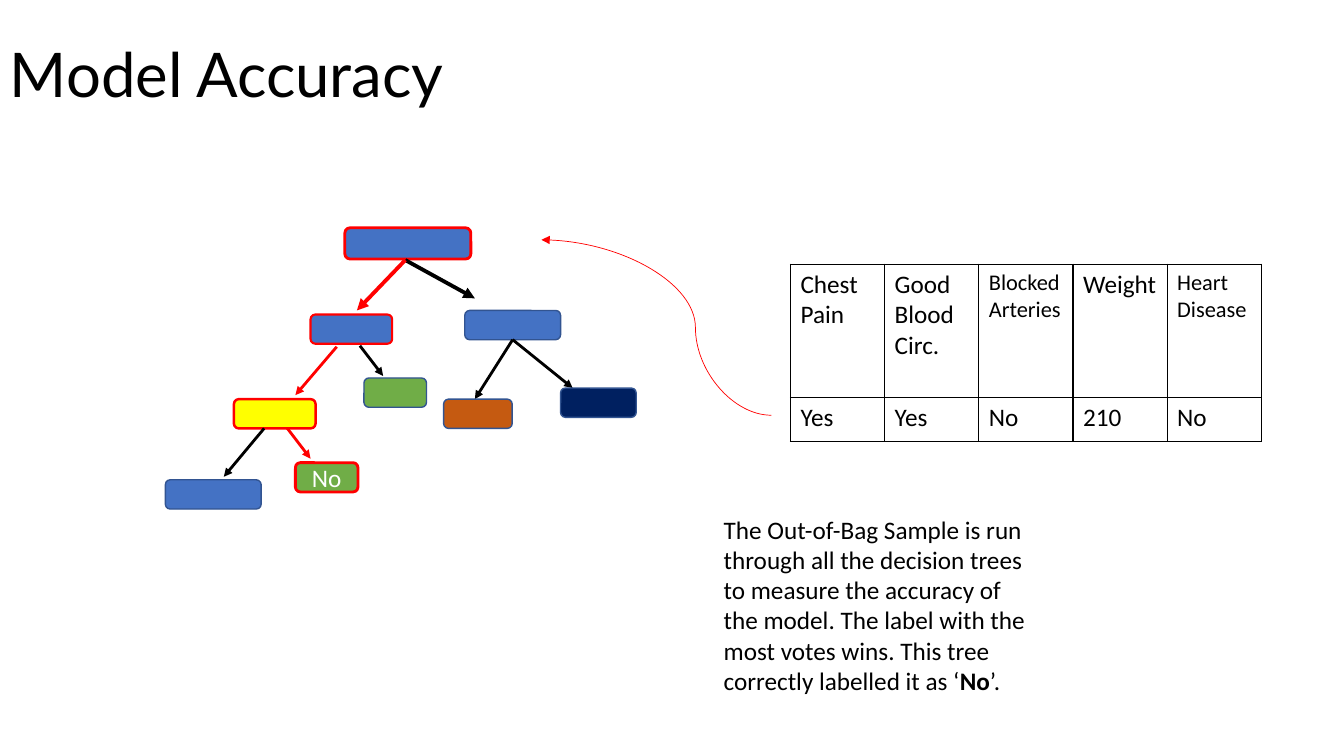
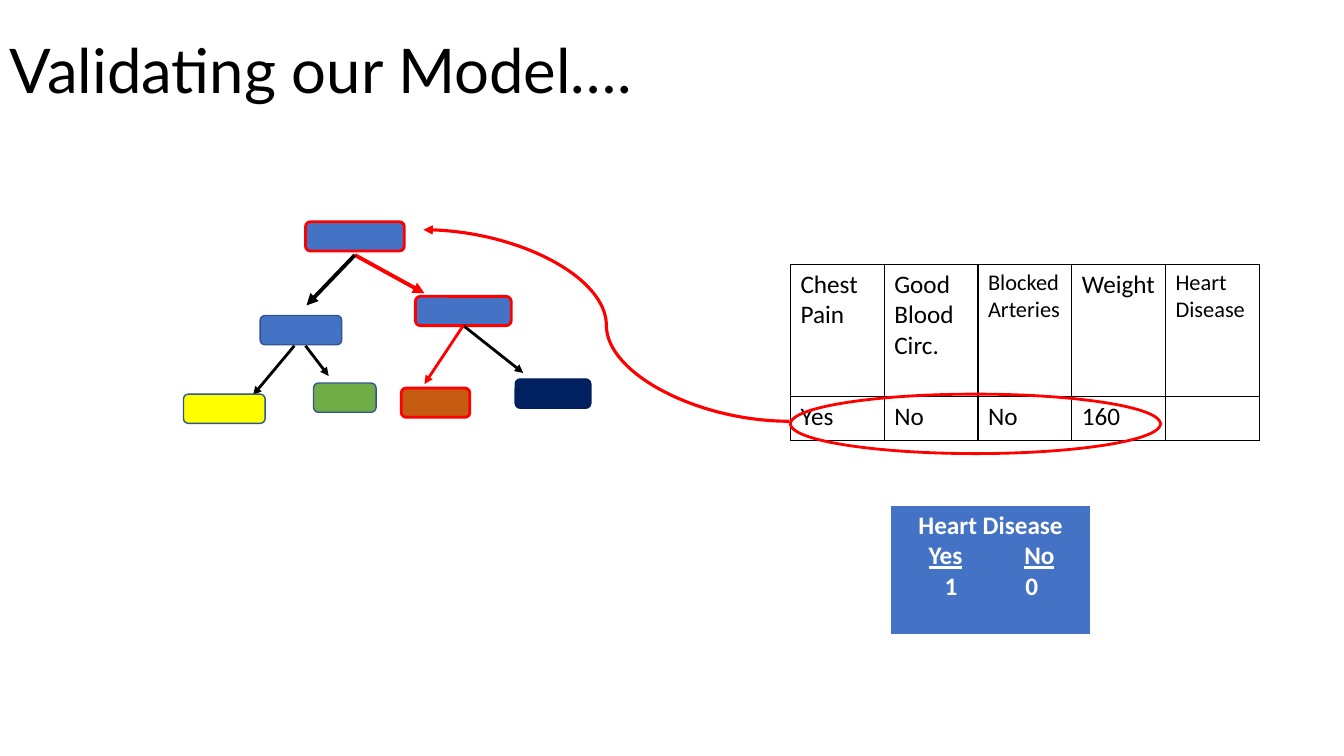
"""Build two slides on testing decision trees for heart disease."""
from dataclasses import dataclass

from lxml import etree
from pptx import Presentation
from pptx.dml.color import RGBColor
from pptx.enum.shapes import MSO_CONNECTOR, MSO_SHAPE
from pptx.enum.text import MSO_ANCHOR, PP_ALIGN
from pptx.oxml.ns import qn
from pptx.util import Inches, Pt

ROUNDED = MSO_SHAPE.ROUNDED_RECTANGLE
ELLIPSE = MSO_SHAPE.OVAL
STRAIGHT = MSO_CONNECTOR.STRAIGHT
CURVE = MSO_CONNECTOR.CURVE
MIDDLE = MSO_ANCHOR.MIDDLE
CENTER = PP_ALIGN.CENTER
BOTTOM_SIDE = 2


@dataclass(frozen=True)
class Theme:
    """Colours, fonts and type sizes."""
    black: str = "000000"
    white: str = "FFFFFF"
    red: str = "FF0000"
    blue: str = "4472C4"
    outline: str = "325491"
    orange: str = "C55A11"
    green: str = "70AD47"
    navy: str = "002060"
    yellow: str = "FFFF00"
    title_font: str = "Lato"
    body_font: str = "Calibri"
    title_size: int = 44
    body_size: int = 18
    small_size: int = 16


THEME = Theme()
NODE_KINDS = {
    "large root": (1.25, 0.31, THEME.blue),
    "root": (0.98, 0.29, THEME.blue),
    "branch": (0.81, 0.29, THEME.blue),
    "wide": (0.95, 0.29, THEME.blue),
    "orange": (0.68, 0.29, THEME.orange),
    "green": (0.62, 0.29, THEME.green),
    "navy": (0.75, 0.29, THEME.navy),
    "yellow": (0.81, 0.29, THEME.yellow),
}
HEADERS = ["Chest Pain", "Good\nBlood\nCirc.", "Blocked\nArteries", "Weight", "Heart\nDisease"]
SMALL_COLUMNS = (2, 4)


class Deck:
    """Hold the theme and current slide, and draw each kind of element."""

    def __init__(self, theme):
        """Start a wide presentation."""
        self.theme = theme
        self.presentation = Presentation()
        self.presentation.slide_width = Inches(13.33)
        self.presentation.slide_height = Inches(7.5)
        self.slide = None

    def new_slide(self, title, top):
        """Add a blank slide with its title."""
        self.slide = self.presentation.slides.add_slide(self.presentation.slide_layouts[6])
        frame = self.text_frame(0, top, 11.5, 1.45)
        frame.vertical_anchor = MIDDLE
        paragraph = frame.paragraphs[0]
        paragraph.text = title
        paragraph.line_spacing = 0.9
        self.font(paragraph, self.theme.title_size, name=self.theme.title_font)

    def font(self, paragraph, size, color=None, name=None):
        """Set the font of a paragraph."""
        paragraph.font.size = Pt(size)
        paragraph.font.name = name or self.theme.body_font
        paragraph.font.color.rgb = RGBColor.from_string(color or self.theme.black)

    def text_frame(self, left, top, width, height):
        """Add a wrapping text box and return its frame."""
        box = self.slide.shapes.add_textbox(
            Inches(left), Inches(top), Inches(width), Inches(height))
        box.text_frame.word_wrap = True
        return box.text_frame

    def note(self, left, top, width, height, parts):
        """Add a paragraph from pairs of text and boldness."""
        paragraph = self.text_frame(left, top, width, height).paragraphs[0]
        self.font(paragraph, self.theme.body_size)
        for text, bold in parts:
            run = paragraph.add_run()
            run.text = text
            run.font.bold = bold

    def shape(self, preset, left, top, width, height, line, line_width, fill=None):
        """Add an outlined shape, filled or hollow."""
        shape = self.slide.shapes.add_shape(
            preset, Inches(left), Inches(top), Inches(width), Inches(height))
        shape.shadow.inherit = False
        if fill:
            shape.fill.solid()
            shape.fill.fore_color.rgb = RGBColor.from_string(fill)
        else:
            shape.fill.background()
        shape.line.color.rgb = RGBColor.from_string(line)
        shape.line.width = Pt(line_width)
        return shape

    def node(self, kind, left, top, visited=0, label=None):
        """Add a tree node, outlined in red at the visited width if any."""
        width, height, fill = NODE_KINDS[kind]
        line = self.theme.red if visited else self.theme.outline
        shape = self.shape(ROUNDED, left, top, width, height, line, visited or 1, fill)
        if label:
            shape.text_frame.vertical_anchor = MIDDLE
            paragraph = shape.text_frame.paragraphs[0]
            paragraph.text = label
            paragraph.alignment = CENTER
            self.font(paragraph, self.theme.body_size, self.theme.white)
        return shape

    def arrow(self, start, end, color, width=2, kind=STRAIGHT, bend=None):
        """Add an arrow between points, optionally curved with a bend fraction."""
        connector = self.slide.shapes.add_connector(
            kind, *(Inches(length) for length in (*start, *end)))
        connector.line.color.rgb = RGBColor.from_string(color)
        connector.line.width = Pt(width)
        properties = connector._element.spPr
        etree.SubElement(properties.find(qn("a:ln")), qn("a:tailEnd"), type="triangle")
        etree.SubElement(properties, qn("a:effectLst"))
        if bend:
            guides = properties.find(qn("a:prstGeom")).find(qn("a:avLst"))
            etree.SubElement(guides, qn("a:gd"), name="adj1", fmla=f"val {round(bend * 100000)}")
        return connector

    def branches(self, start, ends, width=2, parent=None):
        """Add arrows from one point, or from the bottom of a parent node."""
        for end, visited in ends:
            color = self.theme.red if visited else self.theme.black
            connector = self.arrow(start, end, color, width)
            if parent:
                connector.begin_connect(parent, BOTTOM_SIDE)

    def table(self, left, top, column_widths, row_heights):
        """Add a table without banding."""
        frame = self.slide.shapes.add_table(
            len(row_heights), len(column_widths), Inches(left), Inches(top),
            Inches(sum(column_widths)), Inches(sum(row_heights)))
        table = frame.table
        table.first_row = table.horz_banding = False
        for column, width in zip(table.columns, column_widths):
            column.width = Inches(width)
        for row, height in zip(table.rows, row_heights):
            row.height = Inches(height)
        return table

    def borders(self, cell, color, width=1, bottom=1):
        """Draw the four borders of a cell."""
        properties = cell._tc.get_or_add_tcPr()
        for side, points in (("L", width), ("R", width), ("T", width), ("B", bottom)):
            line = etree.SubElement(properties, qn(f"a:ln{side}"), w=str(Pt(points)))
            fill = etree.SubElement(line, qn("a:solidFill"))
            etree.SubElement(fill, qn("a:srgbClr"), val=color)

    def sample_table(self, width, header_height, values):
        """Add the patient sample under its column headings."""
        columns = len(HEADERS)
        table = self.table(7.84, 2.62, [width / columns] * columns, [header_height, 0.44])
        for row, texts in enumerate((HEADERS, values)):
            for column, text in enumerate(texts):
                cell = table.cell(row, column)
                self.borders(cell, self.theme.black)
                cell.fill.background()
                cell.text = text
                small = row == 0 and column in SMALL_COLUMNS
                for paragraph in cell.text_frame.paragraphs:
                    self.font(paragraph, self.theme.small_size if small else self.theme.body_size)

    def vote_table(self, left, top, width, height, heading, rows):
        """Add the vote count, each row giving two texts, tab stops and underlining."""
        cell = self.table(left, top, [width], [height]).cell(0, 0)
        self.borders(cell, self.theme.white, bottom=3)
        cell.fill.solid()
        cell.fill.fore_color.rgb = RGBColor.from_string(self.theme.blue)
        frame = cell.text_frame
        frame.text = heading
        frame.paragraphs[0].alignment = CENTER
        for texts, stops, underline in rows:
            paragraph = frame.add_paragraph()
            paragraph.add_run().text = "\t"
            run = paragraph.add_run()
            run.text = "\t".join(texts)
            run.font.underline = underline
            tabs = etree.SubElement(paragraph._p.get_or_add_pPr(), qn("a:tabLst"))
            for stop in stops:
                etree.SubElement(tabs, qn("a:tab"), pos=str(Inches(stop)), algn="l")
        for paragraph in frame.paragraphs:
            self.font(paragraph, self.theme.body_size, self.theme.white)
            paragraph.font.bold = True


def add_accuracy_slide(deck):
    """Show an out-of-bag sample passing through a tree."""
    deck.new_slide("Model Accuracy", 0.04)
    deck.sample_table(4.67, 1.32, ["Yes", "Yes", "No", "210", "No"])
    deck.node("large root", 3.42, 2.26, visited=2)
    deck.node("branch", 3.08, 3.12, visited=1.5)
    right_branch = deck.node("wide", 4.61, 3.08)
    deck.branches((4.02, 2.58), [((4.71, 2.96), False), ((3.54, 3.08), True)], 2.75)
    deck.branches((3.34, 3.44), [((2.93, 3.92), True)])
    deck.branches((3.57, 3.43), [((3.8, 3.73), False)])
    deck.branches((5.09, 3.38), [((5.68, 3.85), False), ((4.71, 3.96), False)],
                  parent=right_branch)
    deck.node("orange", 4.4, 3.96)
    deck.node("green", 3.61, 3.75)
    deck.node("navy", 5.56, 3.85)
    deck.node("yellow", 2.32, 3.96, visited=1.75)
    deck.branches((2.62, 4.25), [((2.22, 4.73), False)])
    deck.branches((2.85, 4.25), [((3.08, 4.55), True)])
    deck.node("green", 2.93, 4.59, visited=2, label="No")
    deck.node("wide", 1.64, 4.76)
    deck.arrow((7.65, 4.12), (5.37, 2.38), deck.theme.red, 0.5, CURVE, bend=0.33)
    deck.note(7.08, 5.05, 3.2, 1.92, [
        ("The Out-of-Bag Sample is run through all the decision trees to measure the accuracy "
         "of the model. The label with the most votes wins. This tree correctly labelled it "
         "as ‘", False),
        ("No", True),
        ("’.", False),
    ])


def add_validation_slide(deck):
    """Show a new patient passing through a tree and its vote."""
    deck.new_slide("Validating our Model….", 0)
    deck.node("root", 3.03, 2.2, visited=2)
    deck.node("branch", 2.58, 3.13)
    right_branch = deck.node("wide", 4.12, 2.94, visited=2)
    deck.branches((3.52, 2.53), [((4.21, 2.91), True), ((3.04, 3.03), False)], 2.75)
    deck.branches((2.92, 3.43), [((2.51, 3.92), False)])
    deck.branches((3.03, 3.43), [((3.26, 3.73), False)])
    deck.branches((4.6, 3.23), [((5.19, 3.7), False), ((4.21, 3.81), True)],
                  parent=right_branch)
    deck.node("orange", 3.98, 3.85, visited=2)
    deck.node("green", 3.11, 3.8)
    deck.node("navy", 5.11, 3.76).line.color.rgb = RGBColor.from_string(deck.theme.navy)
    deck.node("yellow", 1.82, 3.91)
    deck.sample_table(4.65, 1.31, ["Yes", "No", "No", "160", ""])
    deck.shape(ELLIPSE, 7.84, 3.91, 3.67, 0.59, deck.theme.red, 2)
    deck.arrow((7.83, 4.18), (4.2, 2.28), deck.theme.red, 2.25, CURVE, bend=0.5)
    deck.vote_table(8.83, 5.01, 1.99, 1.3, "Heart Disease", [
        (("Yes", "No"), (0.28, 1.23), True),
        (("1", "0"), (0.44, 1.24), False),
    ])


def main():
    """Build and save the presentation."""
    deck = Deck(THEME)
    add_accuracy_slide(deck)
    add_validation_slide(deck)
    deck.presentation.save("out.pptx")


if __name__ == "__main__":
    main()
